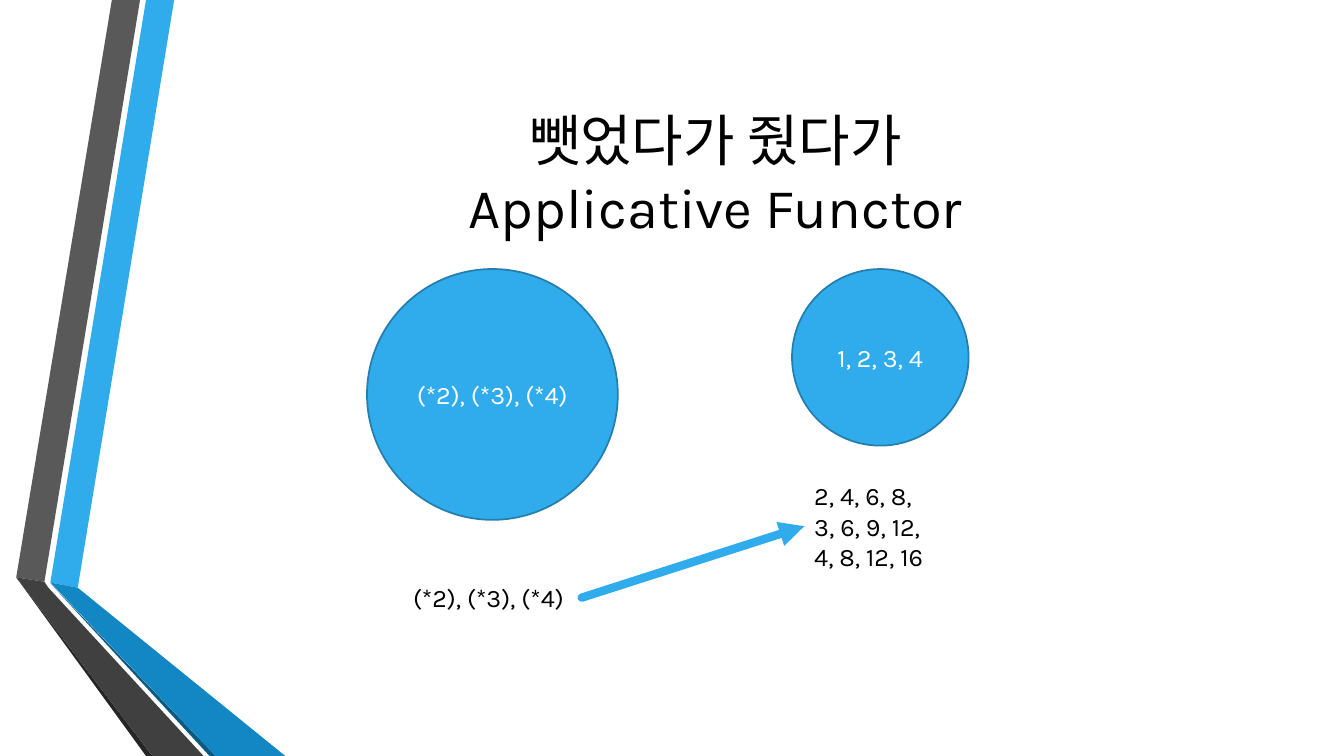
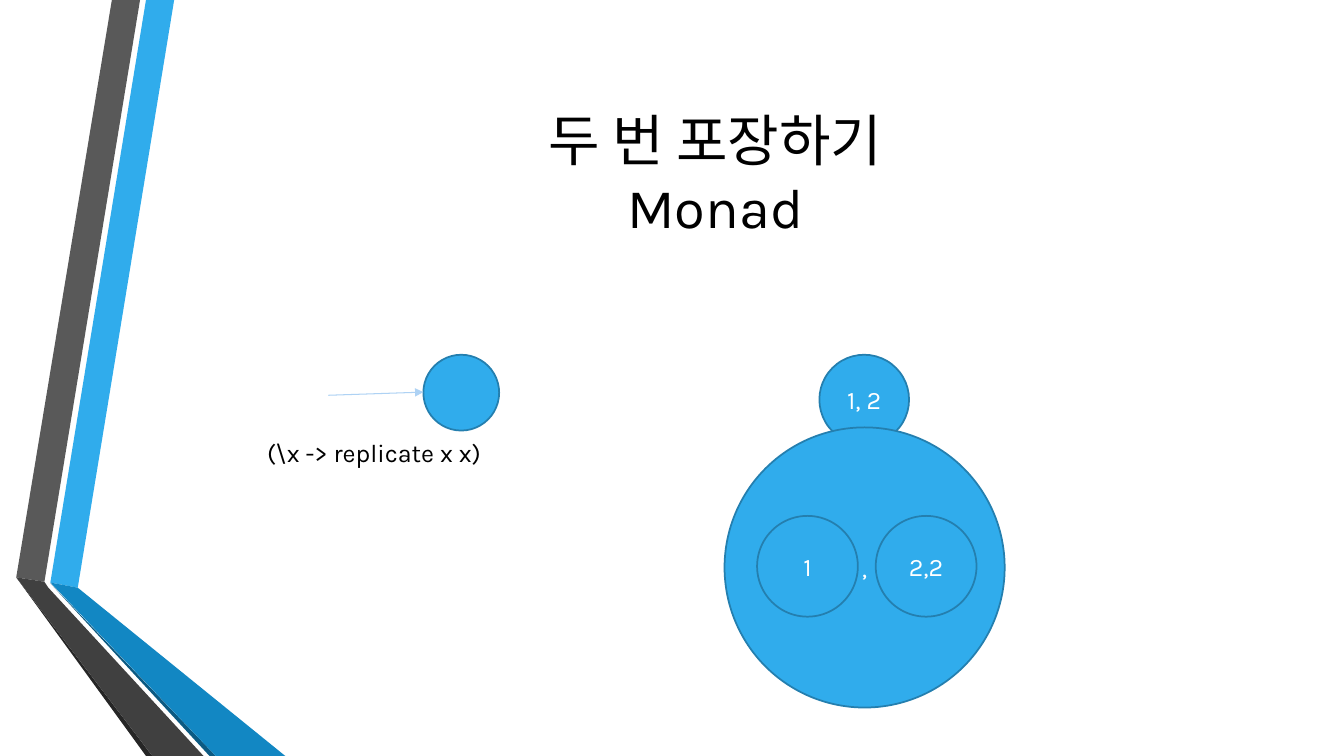
"""Build two slides on applicative functors and monads, with a shared folded ribbon."""
from lxml import etree
from pptx import Presentation
from pptx import util as u
from pptx.dml.color import RGBColor
from pptx.enum import shapes, text
from pptx.oxml.ns import qn

FONT = "Karla"
COLORS = {
    "blue": "30ACEC", "outline": "247FAF", "pale": "AED2F4",
    "fold": "1287C3", "fold edge": "0C5A82",
    "gray": "595959", "gray fold": "404040", "gray edge": "262626",
    "black": "000000", "white": "FFFFFF",
}
RIBBON = [
    ("blue", [(1.27, 14.68), (1.96, 14.81), (4.39, 0), (3.68, 0)]),
    ("gray", [(3.53, 0), (2.82, 0), (0.41, 14.55), (1.12, 14.66)]),
    ("gray edge", [(0.41, 14.55), (3.68, 19.05), (3.84, 19.05)]),
    ("fold edge", [(1.27, 14.7), (5.28, 19.05), (5.44, 19.05)]),
    ("fold", [(1.27, 14.68), (5.44, 19.05), (7.19, 19.05), (1.96, 14.81)]),
    ("gray fold", [(5.13, 19.05), (1.22, 14.81), (1.12, 14.66), (0.41, 14.55), (3.84, 19.05)]),
]
SLIDES = [
    {
        "title": "뺏었다가 줬다가\vApplicative Functor",
        "circles": [("(*2), (*3), (*4)", 9.25, 6.78, 6.32), ("1, 2, 3, 4", 19.96, 6.78, 4.45)],
        "labels": [
            ("(*2), (*3), (*4)", 10.16, 14.55, 4.5, 1.02),
            ("2, 4, 6, 8,\n3, 6, 9, 12,\n4, 8, 12, 16", 20.27, 11.99, 3.84, 2.57),
        ],
        "arrow": ("blue", 6, (14.66, 15.06, 20.27, 13.26)),
    },
    {
        "title": "두 번 포장하기\vMonad",
        "circles": [
            ("", 10.67, 8.94, 1.91), ("1, 2", 20.65, 8.94, 2.26), (",", 18.26, 10.77, 7.06),
            ("1", 19.08, 13, 2.54), ("2,2", 22.07, 13, 2.54),
        ],
        "labels": [("(\\x -> replicate x x)", 6.48, 10.9, 6.1, 1.02)],
        "arrow": ("pale", 0.75, (8.28, 9.96, 10.67, 9.88)),
    },
]


def color(name):
    return RGBColor.from_string(COLORS[name])


def write(shape, content, size, color_name, alignment):
    shape.text_frame.text = content
    for paragraph in shape.text_frame.paragraphs:
        paragraph.alignment = alignment
        paragraph.font.name = FONT
        paragraph.font.size = u.Pt(size)
        paragraph.font.color.rgb = color(color_name)


presentation = Presentation()
presentation.slide_width = u.Cm(33.87)
presentation.slide_height = u.Cm(19.05)

for content in SLIDES:
    slide = presentation.slides.add_slide(presentation.slide_layouts[6])

    for color_name, points in RIBBON:
        corners = [(u.Cm(x), u.Cm(y)) for x, y in points]
        builder = slide.shapes.build_freeform(*corners[0])
        builder.add_line_segments(corners[1:], close=True)
        band = builder.convert_to_shape()
        band.shadow.inherit = False
        band.fill.solid()
        band.fill.fore_color.rgb = color(color_name)
        band.line.fill.background()

    title = slide.shapes.add_textbox(u.Cm(4.11), u.Cm(1.91), u.Cm(27.84), u.Cm(4.88))
    title.text_frame.word_wrap = True
    title.text_frame.vertical_anchor = text.MSO_ANCHOR.MIDDLE
    write(title, content["title"], 40, "black", text.PP_ALIGN.CENTER)

    for label, left, top, diameter in content["circles"]:
        circle = slide.shapes.add_shape(
            shapes.MSO_SHAPE.OVAL, u.Cm(left), u.Cm(top), u.Cm(diameter), u.Cm(diameter))
        circle.shadow.inherit = False
        circle.fill.solid()
        circle.fill.fore_color.rgb = color("blue")
        circle.line.color.rgb = color("outline")
        circle.line.width = u.Pt(1.25)
        circle.text_frame.vertical_anchor = text.MSO_ANCHOR.MIDDLE
        write(circle, label, 18, "white", text.PP_ALIGN.CENTER)

    for label, *box in content["labels"]:
        textbox = slide.shapes.add_textbox(*map(u.Cm, box))
        textbox.text_frame.word_wrap = False
        textbox.text_frame.auto_size = text.MSO_AUTO_SIZE.SHAPE_TO_FIT_TEXT
        write(textbox, label, 18, "black", text.PP_ALIGN.LEFT)

    color_name, width, ends = content["arrow"]
    arrow = slide.shapes.add_connector(shapes.MSO_CONNECTOR.STRAIGHT, *map(u.Cm, ends))
    arrow.line.color.rgb = color(color_name)
    arrow.line.width = u.Pt(width)
    properties = arrow.element.spPr
    outline = properties.find(qn("a:ln"))
    outline.set("cap", "rnd")
    etree.SubElement(outline, qn("a:round"))
    etree.SubElement(outline, qn("a:tailEnd"), type="triangle")
    etree.SubElement(properties, qn("a:effectLst"))

presentation.save("out.pptx")
